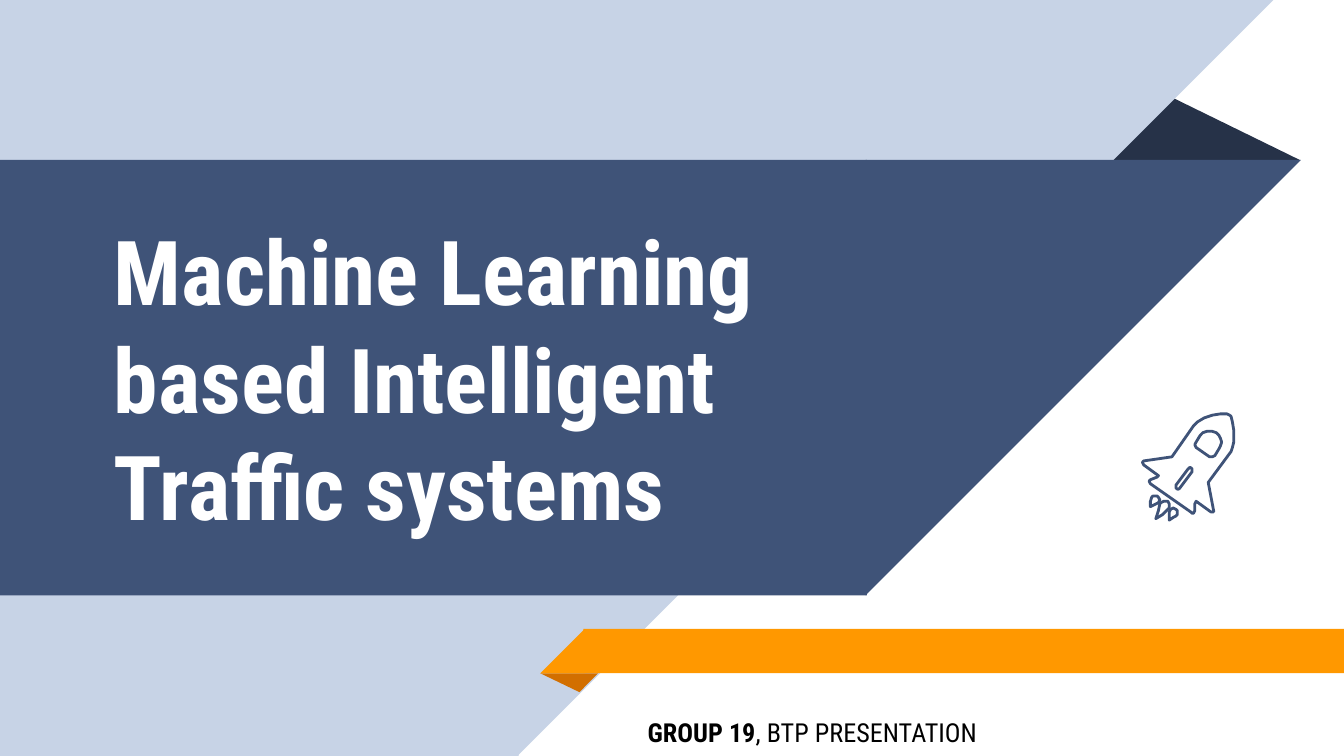
from pptx import Presentation
from pptx.dml.color import RGBColor
from pptx.enum.shapes import MSO_SHAPE
from pptx.enum.text import MSO_ANCHOR
from pptx.util import Inches, Pt

FONT = "Roboto Condensed"
WIDTH = 10
HEIGHT = WIDTH * 9 / 16
OVERLAP = 0.01
COLORS = {
    "pale": "C7D3E6",
    "blue": "3F5378",
    "navy": "263248",
    "orange": "FF9800",
    "rust": "D26F00",
    "white": "FFFFFF",
    "black": "000000",
}

BODY = [
    (9.03, 3.8), (8.99, 3.59), (9.16, 3.36), (9.17, 3.33), (9.18, 3.29),
    (9.18, 3.2), (9.17, 3.14), (9.16, 3.1), (9.15, 3.09), (9.13, 3.08),
    (9.08, 3.08), (9.02, 3.09), (8.96, 3.11), (8.91, 3.14), (8.88, 3.17),
    (8.72, 3.4), (8.51, 3.43), (8.5, 3.44), (8.51, 3.46), (8.62, 3.54),
    (8.61, 3.55), (8.56, 3.57), (8.55, 3.58), (8.56, 3.6), (8.86, 3.81),
    (8.87, 3.82), (8.88, 3.82), (8.89, 3.8), (8.89, 3.75), (8.9, 3.73),
    (9.01, 3.81), (9.02, 3.81), (9.03, 3.81),
]
SLOT = [
    (8.78, 3.63), (8.77, 3.64), (8.76, 3.64), (8.75, 3.63), (8.75, 3.61),
    (8.84, 3.49), (8.85, 3.48), (8.86, 3.48), (8.87, 3.49), (8.87, 3.51),
]
WINDOW = [
    (9.04, 3.39), (9.02, 3.4), (9, 3.4), (8.9, 3.33), (8.89, 3.31),
    (8.9, 3.29), (8.93, 3.24), (8.95, 3.22), (8.98, 3.21), (9.02, 3.21),
    (9.05, 3.22), (9.07, 3.24), (9.08, 3.26), (9.09, 3.29), (9.08, 3.32),
    (9.07, 3.34),
]
FLAMES = [
    [(8.69, 3.73), (8.66, 3.73), (8.64, 3.74), (8.63, 3.75), (8.62, 3.8),
     (8.6, 3.86), (8.65, 3.83), (8.69, 3.79), (8.7, 3.78), (8.7, 3.75)],
    [(8.75, 3.79), (8.73, 3.78), (8.71, 3.79), (8.7, 3.81), (8.7, 3.87),
     (8.73, 3.85), (8.75, 3.84), (8.76, 3.83), (8.76, 3.8)],
    [(8.61, 3.69), (8.58, 3.69), (8.57, 3.7), (8.56, 3.73), (8.56, 3.77),
     (8.6, 3.75), (8.62, 3.74), (8.63, 3.72), (8.62, 3.7)],
]


def rgb(name):
    return RGBColor.from_string(COLORS[name])


def add_block(s, kind, box, color, rotation=0, apex=None):
    sp = s.shapes.add_shape(kind, *map(Inches, box))
    sp.shadow.inherit = False
    sp.fill.solid()
    sp.fill.fore_color.rgb = rgb(color)
    sp.line.fill.background()
    sp.rotation = rotation
    if apex is not None:
        sp.adjustments[0] = apex


def add_outline(s, *contours):
    points = [[(Inches(x), Inches(y)) for x, y in c] for c in contours]
    builder = s.shapes.build_freeform(*points[0][0])
    builder.add_line_segments(points[0][1:], close=True)
    for contour in points[1:]:
        builder.move_to(*contour[0])
        builder.add_line_segments(contour[1:], close=True)
    sp = builder.convert_to_shape()
    sp.shadow.inherit = False
    sp.fill.background()
    sp.line.color.rgb = rgb("blue")
    sp.line.width = Pt(1.5)


def add_text(s, box, runs, size, color, anchor=MSO_ANCHOR.TOP):
    tf = s.shapes.add_textbox(*map(Inches, box)).text_frame
    tf.word_wrap = True
    tf.vertical_anchor = anchor
    tf.margin_left = tf.margin_right = Inches(0.1)
    tf.margin_top = tf.margin_bottom = Inches(0.1)
    p = tf.paragraphs[0]
    for text, bold in runs:
        r = p.add_run()
        r.text = text
        r.font.name = FONT
        r.font.size = Pt(size)
        r.font.bold = bold
        r.font.color.rgb = rgb(color)


def add_ribbons(s):
    rect, corner = MSO_SHAPE.RECTANGLE, MSO_SHAPE.RIGHT_TRIANGLE
    fold = MSO_SHAPE.ISOSCELES_TRIANGLE
    add_block(s, fold, (8.25, 0.72, 1.42, 0.47), "navy", apex=0.324)
    add_block(s, rect, (0, 0, 3.85 + OVERLAP, HEIGHT), "pale")
    add_block(s, corner, (3.85, 0, HEIGHT, HEIGHT), "pale", 90)
    add_block(s, rect, (0, 1.19, 6.44 + OVERLAP, 3.24), "blue")
    add_block(s, corner, (6.44, 1.19, 3.24, 3.24), "blue", 90)
    add_block(s, fold, (4.02, 5.01, 0.43, 0.14), "rust", 180, 0.324)
    add_block(s, rect, (4.35 - OVERLAP, 4.68, 5.65 + OVERLAP, 0.33), "orange")
    add_block(s, corner, (4.02, 4.68, 0.33, 0.33), "orange", 270)


def add_rocket(s):
    add_outline(s, BODY, SLOT, WINDOW)
    for flame in FLAMES:
        add_outline(s, flame)


def main():
    prs = Presentation()
    prs.slide_width, prs.slide_height = Inches(WIDTH), Inches(HEIGHT)
    s = prs.slides.add_slide(prs.slide_layouts[6])
    add_ribbons(s)
    add_text(s, (0.75, 1.19, 5.87, 3.24),
             [("Machine Learning based Intelligent Traffic systems", True)],
             48, "white", MSO_ANCHOR.MIDDLE)
    add_rocket(s)
    add_text(s, (4.72, 5.23, 5.14, 0.44),
             [("GROUP 19", True), (", BTP PRESENTATION", False)], 14, "black")
    prs.save("out.pptx")


if __name__ == "__main__":
    main()
